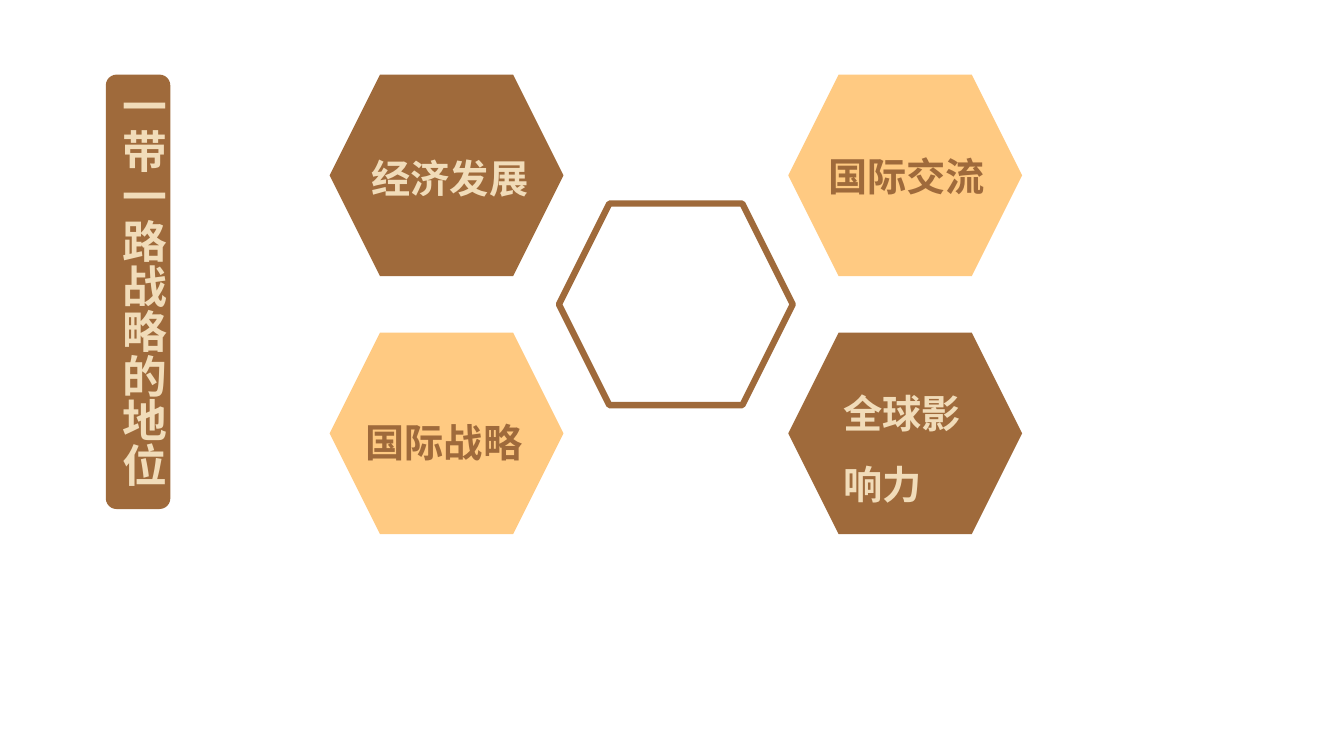
"""Builds the slide of four themes placed around a central hexagon."""
from dataclasses import dataclass

from lxml.etree import SubElement
from pptx import Presentation
from pptx.dml.color import RGBColor
from pptx.enum.shapes import MSO_SHAPE as SHAPE
from pptx.oxml.ns import qn
from pptx.util import Pt

BROWN = RGBColor(0x9F, 0x6A, 0x3B)
ORANGE = RGBColor(0xFF, 0xCA, 0x82)
CREAM = RGBColor(0xF1, 0xDC, 0xB9)
FONT = "Noto Sans CJK SC"

TOP = 53.28
HEX_LEFT, HEX_W, HEX_H = 235.44, 167.04, 144
COL_STEP, ROW_STEP = 327.6, 184.32


@dataclass
class Theme:
    text: str
    col: int
    row: int
    fill: RGBColor
    color: RGBColor
    dx: float
    dy: float
    w: float = 137.5
    h: float = 51.8


THEMES = [
    Theme("经济发展", 0, 0, BROWN, CREAM, 23, 36.7),
    Theme("全球影响力", 1, 1, BROWN, CREAM, 32.4, 20.2, 105.1, 103),
    Theme("国际交流", 1, 0, ORANGE, BROWN, 21.6, 35.3),
    Theme("国际战略", 0, 1, ORANGE, BROWN, 18.7, 41),
]


def add_figure(s, kind: SHAPE, x: float, y: float, w: float, h: float,
               fill: RGBColor | None = None, line: RGBColor | None = None):
    sp = s.shapes.add_shape(kind, Pt(x), Pt(y), Pt(w), Pt(h))
    sp.shadow.inherit = False
    if fill is None:
        sp.fill.background()
    else:
        sp.fill.solid()
        sp.fill.fore_color.rgb = fill
    if line is None:
        sp.line.fill.background()
    else:
        sp.line.color.rgb = line
        sp.line.width = Pt(4.5)
    return sp


def add_text(s, text: str, x: float, y: float, w: float, h: float, *,
             size: float = 28, color: RGBColor = CREAM,
             spacing: float | None = None, vertical: bool = False):
    tf = s.shapes.add_textbox(Pt(x), Pt(y), Pt(w), Pt(h)).text_frame
    tf.word_wrap = True
    if vertical:
        tf._txBody.bodyPr.set("vert", "eaVert")
    p = tf.paragraphs[0]
    p.line_spacing = spacing
    r = p.add_run()
    r.text = text
    r.font.size = Pt(size)
    r.font.bold = True
    r.font.color.rgb = color
    r.font.name = FONT
    SubElement(r.font._element, qn("a:ea")).set("typeface", FONT)


def add_hexagon(s, col: float, row: float, fill: RGBColor | None = None,
                line: RGBColor | None = None) -> tuple[float, float]:
    x, y = HEX_LEFT + col * COL_STEP, TOP + row * ROW_STEP
    add_figure(s, SHAPE.HEXAGON, x, y, HEX_W, HEX_H, fill, line)
    return x, y


def main() -> None:
    prs = Presentation()
    prs.slide_width, prs.slide_height = Pt(960), Pt(540)
    s = prs.slides.add_slide(prs.slide_layouts[6])

    add_figure(s, SHAPE.ROUNDED_RECTANGLE, 75.6, TOP, 46.08, 310.32, BROWN)
    add_text(s, "一带一路战略的地位", 72, TOP, 53.28, 321.84, size=32, vertical=True)

    for t in THEMES:
        x, y = add_hexagon(s, t.col, t.row, t.fill)
        add_text(s, t.text, x + t.dx, y + t.dy, t.w, t.h, color=t.color, spacing=1.5)
    add_hexagon(s, 0.5, 0.5, line=BROWN)

    prs.save("out.pptx")


if __name__ == "__main__":
    main()
